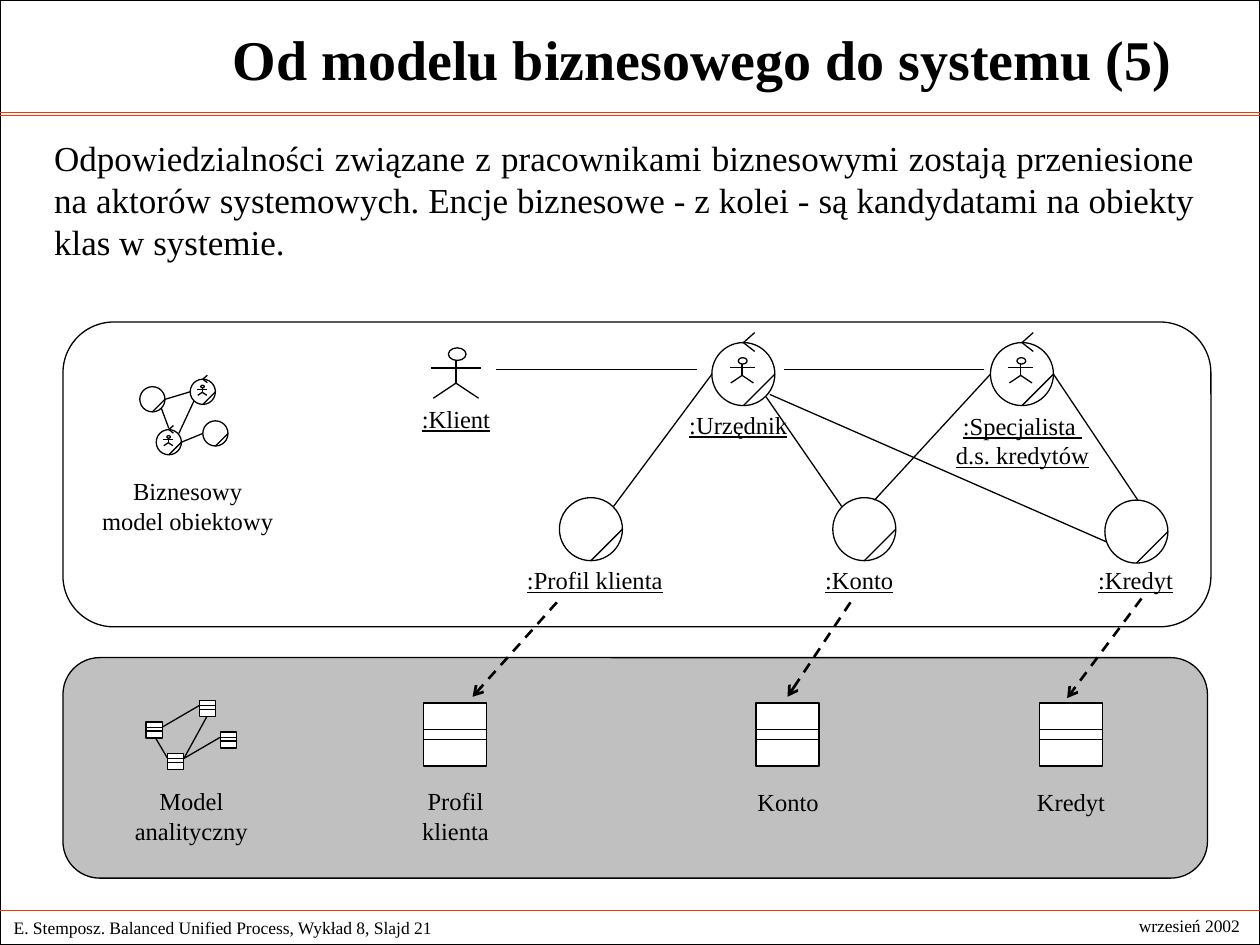
from lxml import etree
from pptx import Presentation
from pptx.dml.color import RGBColor
from pptx.enum.dml import MSO_LINE_DASH_STYLE as Dash
from pptx.enum.shapes import MSO_CONNECTOR as Connector, MSO_SHAPE as Shape
from pptx.enum.text import MSO_ANCHOR as Anchor, MSO_AUTO_SIZE as AutoSize
from pptx.enum.text import PP_ALIGN as Align
from pptx.oxml.ns import qn
from pptx.util import Pt

BLACK = RGBColor(0x00, 0x00, 0x00)
WHITE = RGBColor(0xFF, 0xFF, 0xFF)
GREY = RGBColor(0xC0, 0xC0, 0xC0)
ORANGE = RGBColor(0xFF, 0x33, 0x00)
FONT = "Times New Roman"

deck = Presentation()
deck.slide_width, deck.slide_height = Pt(720), Pt(540)
page = deck.slides.add_slide(deck.slide_layouts[6])


def add_outline(kind, left, top, width, height, fill=None):
    """Add a preset shape with a thin black line, unfilled by default."""
    shape = page.shapes.add_shape(kind, Pt(left), Pt(top), Pt(width), Pt(height))
    shape.shadow.inherit = False
    if fill is None:
        shape.fill.background()
    else:
        shape.fill.solid()
        shape.fill.fore_color.rgb = fill
    shape.line.color.rgb = BLACK
    shape.line.width = Pt(0.75)
    return shape


def add_line(x1, y1, x2, y2, color=BLACK, width=0.75):
    line = page.shapes.add_connector(
        Connector.STRAIGHT, Pt(x1), Pt(y1), Pt(x2), Pt(y2))
    line.line.color.rgb = color
    line.line.width = Pt(width)
    etree.SubElement(line._element.spPr, qn("a:effectLst"))
    return line


# Page frame, rules and panels
add_outline(Shape.RECTANGLE, 0, 0, 720, 540, WHITE)
for y in (64.2, 66, 520.4):
    add_line(0, y, 720, y, ORANGE)
for top, width, height, fill in ((375.8, 654, 126, GREY), (184, 656, 174.2, WHITE)):
    add_outline(Shape.ROUNDED_RECTANGLE, 36, top, width, height, fill)

# Circles of workers and entities: left, top, diameter
workers = [(406.8, 195.8, 36), (566, 195.8, 36),
           (108.7, 216.7, 14.4), (89.3, 245.5, 14.4)]
entities = [(319.7, 284.4, 36), (475.9, 284.4, 36), (631.4, 285.8, 36),
            (79.9, 221, 14.4), (115.9, 240.5, 14.4)]
for left, top, size in workers + entities:
    add_outline(Shape.OVAL, left, top, size, size)
    add_line(left + size / 2, top + size, left + size, top + size / 2)

for left, top, size in workers:
    for end in (-0.16, 0.14):
        add_line(left + size * 0.5, top, left + size * 0.68, top + size * end)

# Stick figures, as fractions of the square around them
client = (226, 181.5, 72)
limbs = [(0.48, 0.34, 0.48, 0.52), (0.28, 0.40, 0.68, 0.40),
         (0.48, 0.52, 0.66, 0.64), (0.48, 0.52, 0.30, 0.64)]
for left, top, size in [client] + workers:
    add_outline(Shape.OVAL, left + size * 0.42, top + size * 0.24,
                size * 0.14, size * 0.1)
    for x1, y1, x2, y2 in limbs:
        add_line(left + size * x1, top + size * y1, left + size * x2, top + size * y2)

links = [
    # business objects
    (406.8, 213.8, 350.6, 289.4), (437.8, 226.8, 481, 289.4),
    (439.9, 225.4, 632.2, 309.6), (566, 213.8, 499.7, 285.8),
    (602, 213.8, 650.2, 285.8), (283.7, 211, 398.2, 211), (447.8, 211, 562.3, 211),
    # small business model
    (92.2, 233.3, 96.5, 244.8), (94.3, 228.2, 108.7, 223.9),
    (110.9, 229, 102.2, 247.7), (103.7, 252.7, 115.9, 247.7),
    # small analysis model
    (92.9, 415.4, 113.8, 403.2), (118.1, 409.7, 105.1, 433.4),
    (95.8, 433.4, 88.6, 421.2), (126, 421.2, 105.1, 433.4),
]
for link in links:
    add_line(*link)

# Class boxes with their two dividers
small_rules, large_rules = (0.33, 0.56), (0.42, 0.58)
classes = [(83.5, 412.6, 9.2, small_rules), (113.8, 400.3, 9.2, small_rules),
           (95.8, 430.6, 9.2, small_rules), (126, 418.3, 9.2, small_rules),
           (241.9, 401.8, 36, large_rules), (432, 401.8, 36, large_rules),
           (594, 401.8, 36, large_rules)]
for left, top, size, rules in classes:
    add_outline(Shape.RECTANGLE, left, top, size, size, WHITE)
    for rule in rules:
        add_line(left, top + size * rule, left + size, top + size * rule)

# Entities become classes
for trace in ((318.2, 344.2, 270, 398.2), (486, 344.2, 450, 398.2),
              (652.3, 342, 609.8, 398.9)):
    arrow = add_line(*trace, width=1.5)
    arrow.line.dash_style = Dash.DASH
    etree.SubElement(arrow.line._get_or_add_ln(), qn("a:tailEnd"), type="arrow")

# Texts: left, top, width, height, lines, size, alignment, underlined
texts = [
    (83.5, 0, 635.8, 66.2, ["Od modelu biznesowego do systemu (5)"],
     32, Align.CENTER, False),
    (23.8, 74.2, 666, 79.2,
     ["Odpowiedzialności związane z pracownikami biznesowymi zostają przeniesione "
      "na aktorów systemowych. Encje biznesowe - z kolei - są kandydatami na "
      "obiekty klas w systemie."], 20, Align.JUSTIFY, False),
    (0.7, 520.6, 322.6, 19.4,
     ["E. Stemposz. Balanced Unified Process, Wykład 8, Slajd 21"],
     10, Align.LEFT, False),
    (642.2, 519.1, 74.9, 19.4, ["wrzesień 2002"], 10, Align.CENTER, False),
    (51.1, 268.6, 112.3, 41, ["Biznesowy", "model obiektowy"],
     14, Align.CENTER, False),
    (234, 226.8, 53.3, 24.5, [":Klient"], 14, Align.CENTER, True),
    (386.6, 230.4, 70.6, 24.5, [":Urzędnik"], 14, Align.CENTER, True),
    (538.3, 231.1, 92, 41, [":Specjalista ", "d.s. kredytów"], 14, Align.CENTER, True),
    (293.8, 319, 92.2, 24.5, [":Profil klienta"], 14, Align.CENTER, True),
    (464.4, 319, 53.3, 24.5, [":Konto"], 14, Align.LEFT, True),
    (620.4, 319, 58, 24.5, [":Kredyt"], 14, Align.LEFT, True),
    (69.8, 445.7, 79.2, 41, ["Model", "analityczny"], 14, Align.CENTER, False),
    (234, 445.7, 52.6, 41, ["Profil", "klienta"], 14, Align.CENTER, False),
    (425.5, 445.7, 49.7, 24.5, ["Konto"], 14, Align.CENTER, False),
    (585.4, 445.7, 53.3, 24.5, ["Kredyt"], 14, Align.CENTER, False),
]
for left, top, width, height, lines, size, align, underlined in texts:
    box = page.shapes.add_textbox(Pt(left), Pt(top), Pt(width), Pt(height))
    frame = box.text_frame
    is_label = size < 20
    frame.word_wrap = not is_label
    frame.auto_size = AutoSize.SHAPE_TO_FIT_TEXT if is_label else AutoSize.NONE
    frame.vertical_anchor = Anchor.TOP if align == Align.JUSTIFY else Anchor.MIDDLE
    frame.text = "\n".join(lines)
    for para in frame.paragraphs:
        para.alignment = align
        para.font.name = FONT
        para.font.size = Pt(size)
        para.font.bold = size == 32
        para.font.underline = underlined
        para.font.color.rgb = BLACK

deck.save("out.pptx")
